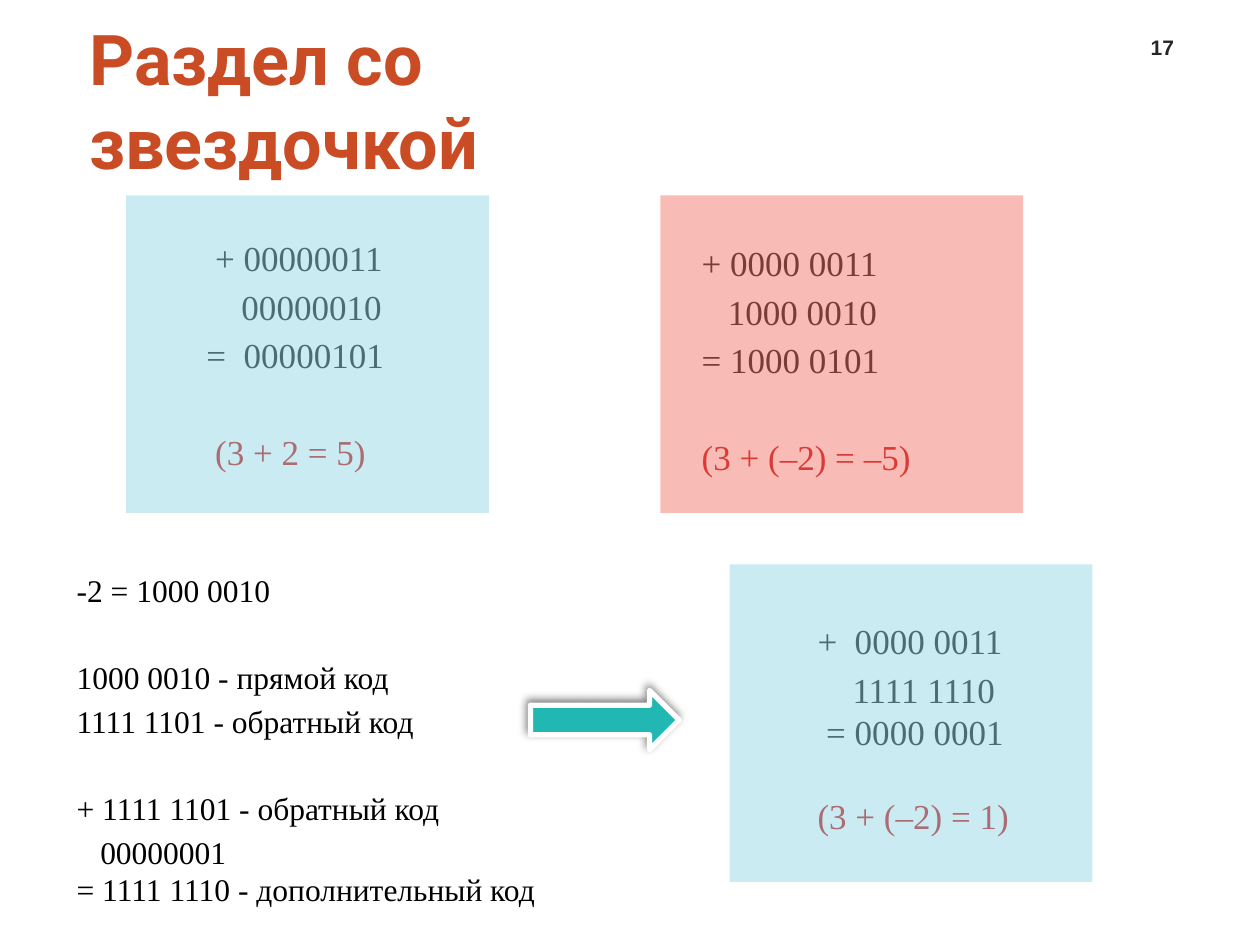
from pptx import Presentation
from pptx.dml.color import RGBColor as RGB
from pptx.enum.shapes import MSO_SHAPE as Kind
from pptx.enum.text import MSO_ANCHOR as Anchor, PP_ALIGN as Align
from pptx.oxml import parse_xml
from pptx.oxml.ns import nsdecls
from pptx.util import Inches, Pt

COLS, ROWS = 100, 75
BLUE, PINK, TEAL = "99D9E7", "F3786E", "21B8B3"
BLACK, RED, RUST, GREY, WHITE = "000000", "C00000", "C94C25", "262626", "FFFFFF"
SERIF = "Times New Roman"
LOOSE = 1.15


def color(code):
    return RGB.from_string(code)


def line(text, lead=0, tone=BLACK, gap=0, pitch=LOOSE):
    """One line of a sum: lead is its indent in space widths, gap the points above it."""
    return text, lead, tone, gap, pitch


class Page:
    def __init__(self, deck):
        self.slide = deck.slides.add_slide(deck.slide_layouts[6])
        self.col = deck.slide_width / COLS
        self.row = deck.slide_height / ROWS

    def area(self, x, y, w, h):
        return [round(v) for v in (x * self.col, y * self.row, w * self.col, h * self.row)]

    def box(self, place, anchor=Anchor.TOP):
        frame = self.slide.shapes.add_textbox(*self.area(*place)).text_frame
        frame.word_wrap = True
        frame.vertical_anchor = anchor
        return frame

    def style(self, par, size, name, tone, bold=False):
        for run in par.runs:
            font = run.font
            font.size, font.name, font.bold = Pt(size), name, bold
            font.color.rgb = color(tone)

    def label(self, place, text, size, name, tone, align, anchor):
        frame = self.box(place, anchor)
        frame.text = text
        par = frame.paragraphs[0]
        par.alignment = align
        self.style(par, size, name, tone, True)
        return frame

    def title(self, place, text):
        frame = self.label(place, text, 40, "Roboto", RUST, Align.LEFT, Anchor.MIDDLE)
        frame.margin_left, frame.margin_right = Inches(0.2), 0

    def sums(self, place, size, lines):
        frame = self.box(place)
        for i, (text, lead, tone, gap, pitch) in enumerate(lines):
            par = frame.add_paragraph() if i else frame.paragraphs[0]
            par.text = text
            par.alignment = Align.JUSTIFY
            par.line_spacing = pitch
            par.space_before = Pt(gap)
            # A space in this face is a quarter of the type size
            par._p.get_or_add_pPr().set("marL", str(Pt(lead * size / 4)))
            self.style(par, size, SERIF, tone)

    def shape(self, kind, place, tone):
        item = self.slide.shapes.add_shape(kind, *self.area(*place))
        item.shadow.inherit = False
        item.fill.solid()
        item.fill.fore_color.rgb = color(tone)
        item.line.fill.background()
        return item

    def veil(self, x, y, tone):
        """Half-clear panel laid over a sum."""
        item = self.shape(Kind.RECTANGLE, (x, y, 28.8, 25.2), tone)
        code = item.fill._xPr.solidFill[0]
        code.append(parse_xml(f'<a:alpha {nsdecls("a")} val="50000"/>'))

    def arrow(self, place):
        item = self.shape(Kind.RIGHT_ARROW, place, TEAL)
        item.line.color.rgb = color(WHITE)
        item.line.width = Pt(3)
        glow = parse_xml(
            f'<a:outerShdw {nsdecls("a")} blurRad="{Pt(5)}" dist="{Pt(2)}" '
            f'dir="{245 * 60000}" rotWithShape="0"><a:srgbClr val="{BLACK}">'
            '<a:alpha val="50000"/></a:srgbClr></a:outerShdw>')
        item._element.spPr.effectLst.append(glow)


def main():
    deck = Presentation()
    deck.slide_width, deck.slide_height = Inches(10), Inches(7.5)
    page = Page(deck)

    page.label((89.5, 1.9, 5.5, 3.3), "17", 12, "Arial", GREY, Align.CENTER, Anchor.BOTTOM)
    page.title((5.1, 4.2, 50.7, 7.4), "Раздел со звездочкой")

    page.sums((15.4, 17.8, 22.8, 20), 20, [
        line("+ 00000011", 1),
        line("00000010", 4),
        line("=  00000101"),
        line("(3 + 2 = 5)", 1, RED, 28)])
    page.sums((54.7, 18.2, 28.8, 23.7), 20, [
        line("+ 0000 0011"),
        line("1000 0010", 3),
        line("= 1000 0101"),
        line("(3 + (–2) = –5)", 0, RED, 28)])
    page.sums((5.1, 44.4, 40.2, 28.4), 18, [
        line("-2 = 1000 0010"),
        line("1000 0010 - прямой код", gap=25),
        line("1111 1101 - обратный код"),
        line("+ 1111 1101 - обратный код", gap=25),
        line("00000001", 3),
        line("= 1111 1110 - дополнительный код", pitch=1)])
    page.sums((63.9, 48.2, 19.7, 22.7), 20, [
        line("+  0000 0011"),
        line("1111 1110", 4),
        line("= 0000 0001", 1, pitch=1),
        line("(3 + (–2) = 1)", 0, RED, 24, 1)])

    for x, y, tone in ((10, 15.5, BLUE), (52.4, 15.5, PINK), (57.9, 44.8, BLUE)):
        page.veil(x, y, tone)
    page.arrow((42.1, 54.8, 11.8, 4.7))

    deck.save("out.pptx")


if __name__ == "__main__":
    main()
